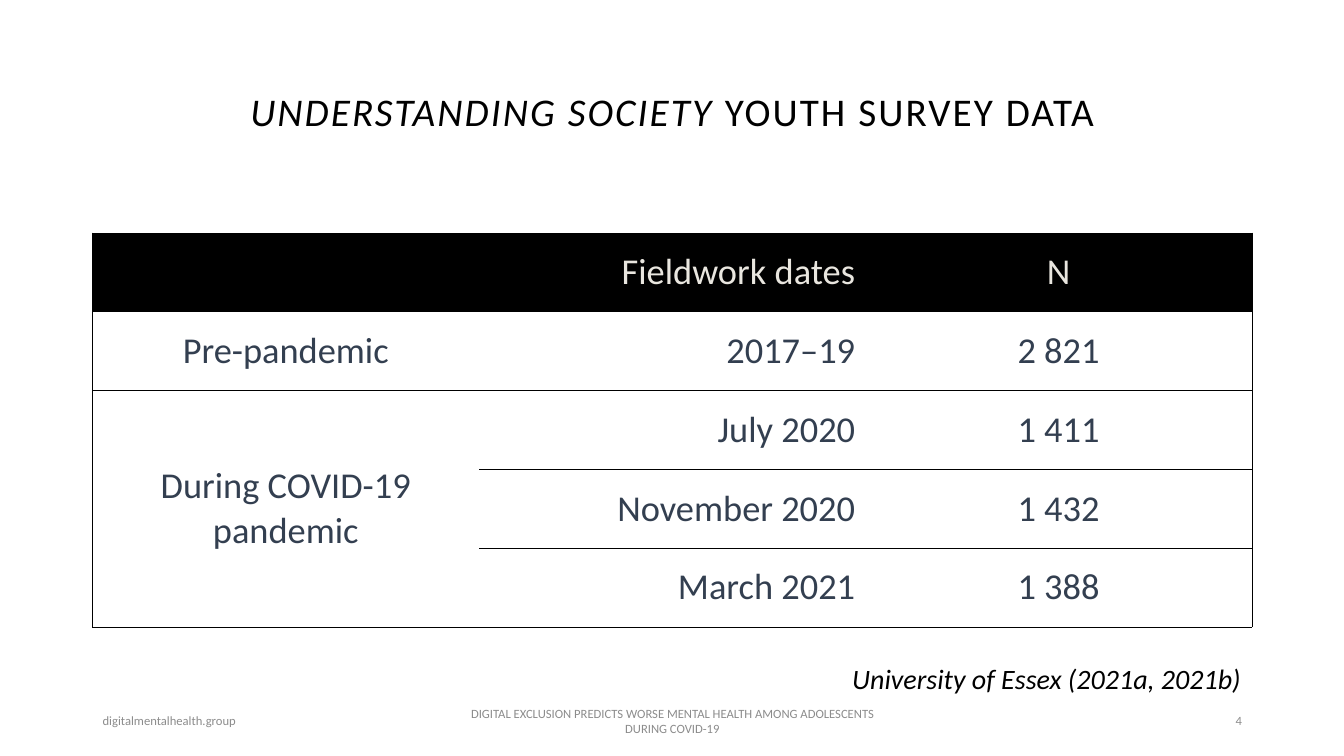
from lxml import etree
from pptx import Presentation
from pptx.dml.color import RGBColor
from pptx.enum import text as t
from pptx.oxml.ns import qn
from pptx.util import Pt

LEFT, WIDTH = 66.24, 828
COLUMN, ROW = WIDTH / 3, 56.3
ALIGN = {"l": t.PP_ALIGN.LEFT, "c": t.PP_ALIGN.CENTER, "r": t.PP_ALIGN.RIGHT}


def write(frame, text, size, color, align="l", italic=False, anchor=t.MSO_ANCHOR.MIDDLE):
    """Add a run to the first paragraph of a frame and return the run."""
    frame.word_wrap = True
    frame.vertical_anchor = anchor
    para = frame.paragraphs[0]
    para.alignment = ALIGN[align]
    span = para.add_run()
    span.text = text
    span.font.name = "Calibri"
    span.font.size = Pt(size)
    span.font.bold = False
    span.font.italic = italic
    span.font.color.rgb = RGBColor.from_string(color)
    return span


def set_borders(cell, visible):
    """Draw thin black lines on the visible sides (letters of LRTB), none on the others."""
    properties = cell._tc.get_or_add_tcPr()
    for side in "LRTB":
        line = etree.SubElement(properties, qn(f"a:ln{side}"), w=str(Pt(0.5)))
        if side in visible:
            fill = etree.SubElement(line, qn("a:solidFill"))
            etree.SubElement(fill, qn("a:srgbClr"), val="000000")
        else:
            etree.SubElement(line, qn("a:noFill"))


deck = Presentation()
deck.slide_width, deck.slide_height = Pt(960), Pt(540)
page = deck.slides.add_slide(deck.slide_layouts[5])

# Title
title = page.shapes.title
title.left, title.top, title.width, title.height = Pt(LEFT), Pt(28.8), Pt(WIDTH), Pt(104.4)
for words, italic in (("UNDERSTANDING SOCIETY ", True), ("YOUTH SURVEY DATA", False)):
    span = write(title.text_frame, words, 28, "000000", "c", italic)
    span.font._element.set("spc", "150")
title.text_frame.paragraphs[0].line_spacing = 0.9

# Survey table
rows = [
    ("", "Fieldwork dates", "N"),
    ("Pre-pandemic", "2017–19", "2 821"),
    ("During COVID-19 pandemic", "July 2020", "1 411"),
    ("", "November 2020", "1 432"),
    ("", "March 2021", "1 388"),
]
table = page.shapes.add_table(
    len(rows), 3, Pt(LEFT), Pt(166.32), Pt(WIDTH), Pt(ROW * len(rows))
).table
table.first_row = table.horz_banding = False
for column in table.columns:
    column.width = Pt(COLUMN)
for row in table.rows:
    row.height = Pt(ROW)
table.cell(2, 0).merge(table.cell(4, 0))

for i, values in enumerate(rows):
    for j, (value, align, side) in enumerate(zip(values, "crc", ("L", "", "R"))):
        cell = table.cell(i, j)
        set_borders(cell, side + "TB")
        if i == 0:
            cell.fill.solid()
            cell.fill.fore_color.rgb = RGBColor.from_string("000000")
        else:
            cell.fill.background()
        cell.vertical_anchor = t.MSO_ANCHOR.MIDDLE
        if value:
            write(cell.text_frame, value, 26, "E9E6DF" if i == 0 else "333F50", align)

# Source and footer
footer = "DIGITAL EXCLUSION PREDICTS WORSE MENTAL HEALTH AMONG ADOLESCENTS DURING COVID-19"
notes = [
    (LEFT, 500.4, 216, 28.8, "digitalmentalhealth.group", 9, "8C8C8C", "l", False),
    (318.24, 500.4, 324, 28.8, footer, 9, "8C8C8C", "c", False),
    (678.24, 500.4, 216, 28.8, "4", 9, "8C8C8C", "r", False),
    (580.5, 468.72, 313.2, 31.68, "University of Essex (2021a, 2021b)", 20, "000000", "r", True),
]
for left, top, width, height, *content in notes:
    box = page.shapes.add_textbox(Pt(left), Pt(top), Pt(width), Pt(height))
    write(box.text_frame, *content)

deck.save("out.pptx")
